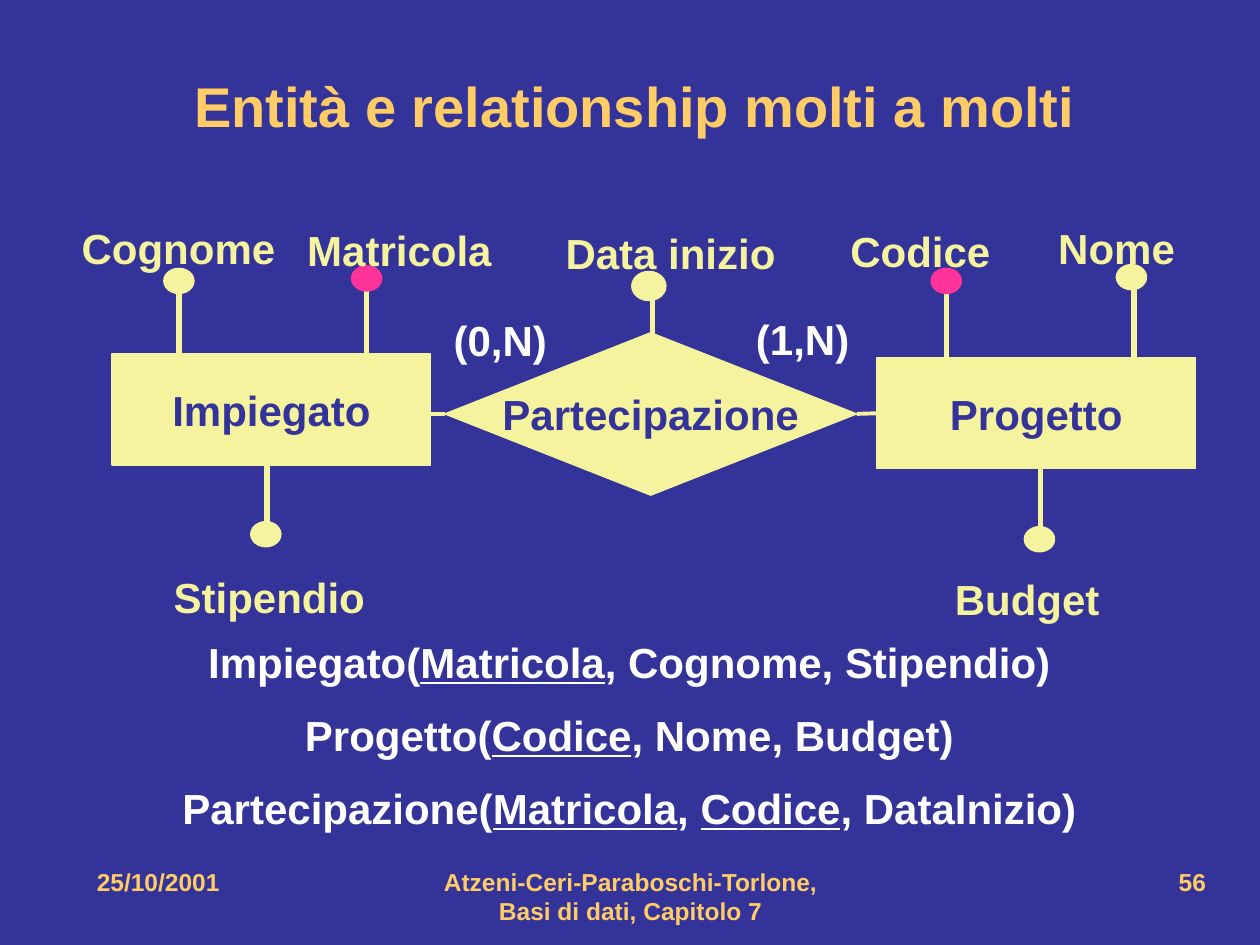
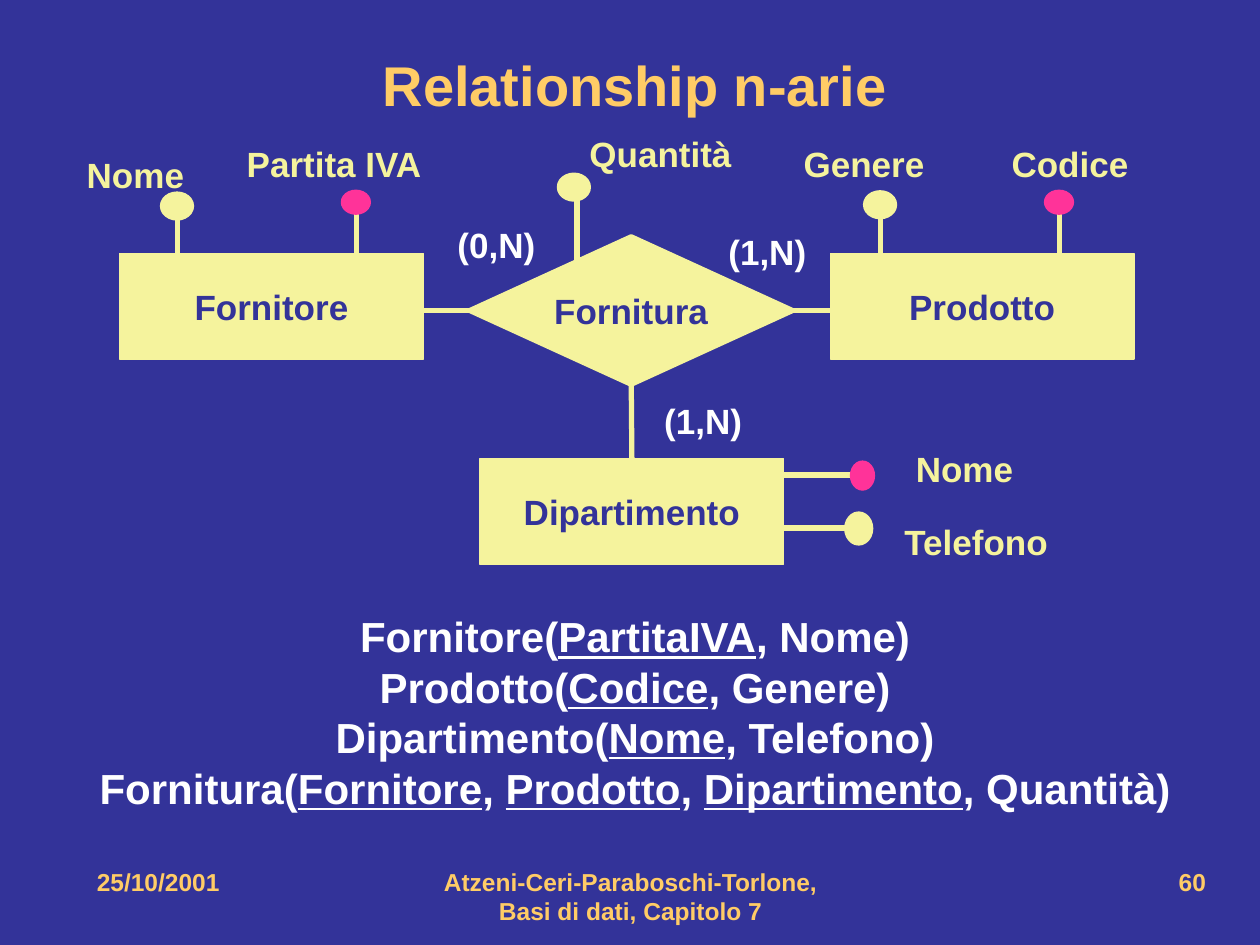
import dataclasses
import typing

import lxml.etree
import pptx
import pptx.dml.color
import pptx.enum.shapes
import pptx.enum.text
import pptx.oxml.ns
import pptx.util

Inches = pptx.util.Inches
Pt = pptx.util.Pt
Align = pptx.enum.text.PP_ALIGN
Anchor = pptx.enum.text.MSO_ANCHOR
Preset = pptx.enum.shapes.MSO_SHAPE

BLUE, YELLOW, PINK = "333399", "F5F39D", "FF3399"
WHITE, GOLD = "FFFFFF", "FFCC66"
THIN, THICK = 0.75, 3
TOP, LEFT, BOTTOM, RIGHT = range(4)
DIRECTIONS = {"down": (0, 1), "up": (0, -1), "left": (-1, 0)}


class Box(typing.NamedTuple):
    left: float
    top: float
    width: float
    height: float

    def inches(self) -> list:
        return [Inches(value) for value in self]


@dataclasses.dataclass
class Attribute:
    """A labelled dot on a stem; a key attribute has a pink dot."""
    name: str
    label: tuple[float, float, float]  # left, top, width
    dot: tuple[float, float]
    stem_start: tuple[float, float]
    direction: str = "down"
    key: bool = False
    outline: float = THIN


@dataclasses.dataclass
class Entity:
    name: str
    left: float
    top: float
    relationship_side: int
    side: int


@dataclasses.dataclass
class Diagram:
    title: str
    title_top: float
    number: int
    text_size: int
    label_height: float
    entity_size: tuple[float, float]
    stem_length: float
    dot_size: tuple[float, float]
    relationship: str
    relationship_box: Box
    relationship_outline: float
    link_width: float
    entities: list[Entity]
    attributes: list[Attribute]
    cardinalities: list[tuple[str, float, float]]
    cardinality_width: float
    schema_box: Box
    schema_step: float
    schemas: list[list[str]]  # one list a box; underscores enclose key parts


DIAGRAMS = [
    Diagram(
        title="Entità e relationship molti a molti", title_top=0.25, number=56,
        text_size=24, label_height=0.5, entity_size=(2.53, 0.88),
        stem_length=0.61, dot_size=(0.24, 0.2),
        relationship="Partecipazione",
        relationship_box=Box(3.53, 2.64, 3.27, 1.29),
        relationship_outline=THIN, link_width=2.25,
        entities=[
            Entity("Impiegato", 0.89, 2.81, LEFT, RIGHT),
            Entity("Progetto", 6.96, 2.84, RIGHT, LEFT),
        ],
        attributes=[
            Attribute("Cognome", (0.55, 1.72, 1.73), (1.3, 2.13), (1.42, 2.33)),
            Attribute("Matricola", (2.34, 1.73, 1.66), (2.79, 2.11), (2.91, 2.29), key=True),
            Attribute("Stipendio", (1.28, 4.49, 1.72), (1.99, 4.14), (2.12, 4.15), "up"),
            Attribute("Data inizio", (4.39, 1.76, 1.86), (5.03, 2.17), (5.18, 2.34),
                      outline=THICK),
            Attribute("Codice", (6.65, 1.74, 1.31), (7.39, 2.13), (7.51, 2.32), key=True),
            Attribute("Nome", (8.3, 1.72, 1.12), (8.86, 2.1), (9, 2.29)),
            Attribute("Budget", (7.48, 4.5, 1.35), (8.13, 4.18), (8.26, 4.18), "up"),
        ],
        cardinalities=[("(0,N)", 3.5, 2.45), ("(1,N)", 5.9, 2.44)],
        cardinality_width=0.94,
        schema_box=Box(0.33, 5, 9.33, 0.5), schema_step=0.58,
        schemas=[
            ["Impiegato(_Matricola_, Cognome, Stipendio)"],
            ["Progetto(_Codice_, Nome, Budget)"],
            ["Partecipazione(_Matricola_, _Codice_, DataInizio)"],
        ],
    ),
    Diagram(
        title="Relationship n-arie", title_top=0.08, number=60,
        text_size=20, label_height=0.44, entity_size=(2.41, 0.84),
        stem_length=0.59, dot_size=(0.23, 0.19),
        relationship="Fornitura",
        relationship_box=Box(3.73, 1.88, 2.56, 1.17),
        relationship_outline=THICK, link_width=THICK,
        entities=[
            Entity("Fornitore", 0.95, 2.01, LEFT, RIGHT),
            Entity("Prodotto", 6.59, 2.01, RIGHT, LEFT),
            Entity("Dipartimento", 3.81, 3.64, BOTTOM, TOP),
        ],
        attributes=[
            Attribute("Nome", (0.59, 1.17, 0.97), (1.29, 1.54), (1.41, 1.72), outline=THICK),
            Attribute("Partita IVA", (1.86, 1.08, 1.61), (2.71, 1.51), (2.83, 1.69), key=True),
            Attribute("Quantità", (4.58, 1, 1.33), (4.44, 1.39), (4.58, 1.58), outline=THICK),
            Attribute("Genere", (6.28, 1.08, 1.16), (6.87, 1.53), (6.99, 1.72), outline=THICK),
            Attribute("Codice", (7.93, 1.08, 1.13), (8.29, 1.51), (8.41, 1.69), key=True),
            Attribute("Nome", (7.17, 3.5, 0.97), (6.75, 3.66), (6.75, 3.77), "left", key=True),
            Attribute("Telefono", (7.08, 4.08, 1.36), (6.72, 4.08), (6.73, 4.19), "left",
                      outline=THICK),
        ],
        cardinalities=[("(0,N)", 3.53, 1.72), ("(1,N)", 5.68, 1.78), ("(1,N)", 5.17, 3.12)],
        cardinality_width=0.82,
        schema_box=Box(0.33, 4.8, 9.42, 1.7), schema_step=0,
        schemas=[[
            "Fornitore(_PartitaIVA_, Nome)",
            "Prodotto(_Codice_, Genere)",
            "Dipartimento(_Nome_, Telefono)",
            "Fornitura(_Fornitore_, _Prodotto_, _Dipartimento_, Quantità)",
        ]],
    ),
]


def color(value: str) -> pptx.dml.color.RGBColor:
    return pptx.dml.color.RGBColor.from_string(value)


def set_values(target, values: dict) -> None:
    for name, value in values.items():
        setattr(target, name, value)


def write(shape, lines: list[str], size: int, text_color: str, align=Align.CENTER,
          anchor=Anchor.MIDDLE, wrap: bool = False) -> None:
    """Fill a shape with lines, underlining what stands between underscores."""
    frame = shape.text_frame
    set_values(frame, {
        "word_wrap": wrap, "auto_size": pptx.enum.text.MSO_AUTO_SIZE.NONE,
        "vertical_anchor": anchor,
        "margin_left": Inches(0.1), "margin_right": Inches(0.1),
        "margin_top": Inches(0.05), "margin_bottom": Inches(0.05),
    })
    for index, line in enumerate(lines):
        paragraph = frame.add_paragraph() if index else frame.paragraphs[0]
        paragraph.alignment = align
        for part_index, part in enumerate(line.split("_")):
            run = paragraph.add_run()
            run.text = part
            set_values(run.font, {"name": "Arial", "size": Pt(size), "bold": True,
                                  "underline": part_index % 2 == 1})
            run.font.color.rgb = color(text_color)


def add_text(slide, box: Box, lines: list[str], size: int, text_color: str, **layout) -> None:
    write(slide.shapes.add_textbox(*box.inches()), lines, size, text_color, **layout)


def add_filled(slide, preset, box: Box, fill: str, outline: float):
    shape = slide.shapes.add_shape(preset, *box.inches())
    shape.shadow.inherit = False
    shape.fill.solid()
    shape.fill.fore_color.rgb = color(fill)
    shape.line.color.rgb = color(fill)
    shape.line.width = Pt(outline)
    return shape


def add_line(slide, start: tuple, end: tuple, width: float):
    connector = slide.shapes.add_connector(
        pptx.enum.shapes.MSO_CONNECTOR.STRAIGHT, *start, *end)
    connector.line.color.rgb = color(YELLOW)
    connector.line.width = Pt(width)
    lxml.etree.SubElement(connector._element.spPr, pptx.oxml.ns.qn("a:effectLst"))
    return connector


def side_middle(shape, side: int) -> tuple[int, int]:
    across, down = {TOP: (1, 0), LEFT: (0, 1), BOTTOM: (1, 2), RIGHT: (2, 1)}[side]
    return (shape.left + shape.width * across // 2, shape.top + shape.height * down // 2)


def add_link(slide, relationship, entity_shape, entity: Entity, width: float) -> None:
    """Join relationship and entity, staying level where their middles differ."""
    start = side_middle(relationship, entity.relationship_side)
    end = side_middle(entity_shape, entity.side)
    aligned = min(abs(a - b) for a, b in zip(start, end)) < Inches(0.02)
    connector = add_line(slide, start, end if aligned else (end[0], start[1]), width)
    connector.begin_connect(relationship, entity.relationship_side)
    if aligned:
        connector.end_connect(entity_shape, entity.side)


def add_stem_and_dot(slide, diagram: Diagram, attribute: Attribute) -> None:
    end = [begin + step * diagram.stem_length for begin, step
           in zip(attribute.stem_start, DIRECTIONS[attribute.direction])]
    add_line(slide, tuple(map(Inches, attribute.stem_start)), tuple(map(Inches, end)), THICK)
    size = diagram.dot_size
    if attribute.direction == "left":
        size = size[::-1]
    add_filled(slide, Preset.OVAL, Box(*attribute.dot, *size),
               PINK if attribute.key else YELLOW, attribute.outline)


def add_title(slide, diagram: Diagram) -> None:
    title = slide.shapes.title
    box = Box(0.5, diagram.title_top, 9.08, 1.17)
    set_values(title, dict(zip(("left", "top", "width", "height"), box.inches())))
    write(title, [diagram.title], 32, GOLD, wrap=True)


def add_footer(slide, number: int) -> None:
    for text, left, width, align in (
        ("25/10/2001", 0.67, 2.17, Align.LEFT),
        ("Atzeni-Ceri-Paraboschi-Torlone, Basi di dati, Capitolo 7", 3.42, 3.17, Align.CENTER),
        (str(number), 7.17, 2.5, Align.RIGHT),
    ):
        add_text(slide, Box(left, 6.83, width, 0.5), [text], 14, GOLD,
                 align=align, anchor=Anchor.TOP, wrap=True)


def add_diagram(slide, diagram: Diagram) -> None:
    size = diagram.text_size
    for attribute in diagram.attributes:
        add_stem_and_dot(slide, diagram, attribute)
    relationship = add_filled(slide, Preset.DIAMOND, diagram.relationship_box, YELLOW,
                              diagram.relationship_outline)
    write(relationship, [diagram.relationship], size, BLUE)
    for entity in diagram.entities:
        box = Box(entity.left, entity.top, *diagram.entity_size)
        rectangle = add_filled(slide, Preset.RECTANGLE, box, YELLOW, THIN)
        write(rectangle, [entity.name], size, BLUE)
        add_link(slide, relationship, rectangle, entity, diagram.link_width)
    for attribute in diagram.attributes:
        add_text(slide, Box(*attribute.label, diagram.label_height), [attribute.name],
                 size, YELLOW, align=Align.LEFT, anchor=Anchor.TOP)
    for text, left, top in diagram.cardinalities:
        box = Box(left, top, diagram.cardinality_width, diagram.label_height)
        add_text(slide, box, [text], size, WHITE)


def add_schemas(slide, diagram: Diagram) -> None:
    first = diagram.schema_box
    for index, lines in enumerate(diagram.schemas):
        box = first._replace(top=first.top + index * diagram.schema_step)
        add_text(slide, box, lines, 24, WHITE, anchor=Anchor.TOP, wrap=True)


def main() -> None:
    presentation = pptx.Presentation()
    presentation.slide_width = Inches(10)
    presentation.slide_height = Inches(7.5)
    background = presentation.slide_master.background.fill
    background.solid()
    background.fore_color.rgb = color(BLUE)
    title_only = presentation.slide_layouts[5]
    for diagram in DIAGRAMS:
        slide = presentation.slides.add_slide(title_only)
        add_title(slide, diagram)
        add_diagram(slide, diagram)
        add_schemas(slide, diagram)
        add_footer(slide, diagram.number)
    presentation.save("out.pptx")


if __name__ == "__main__":
    main()
